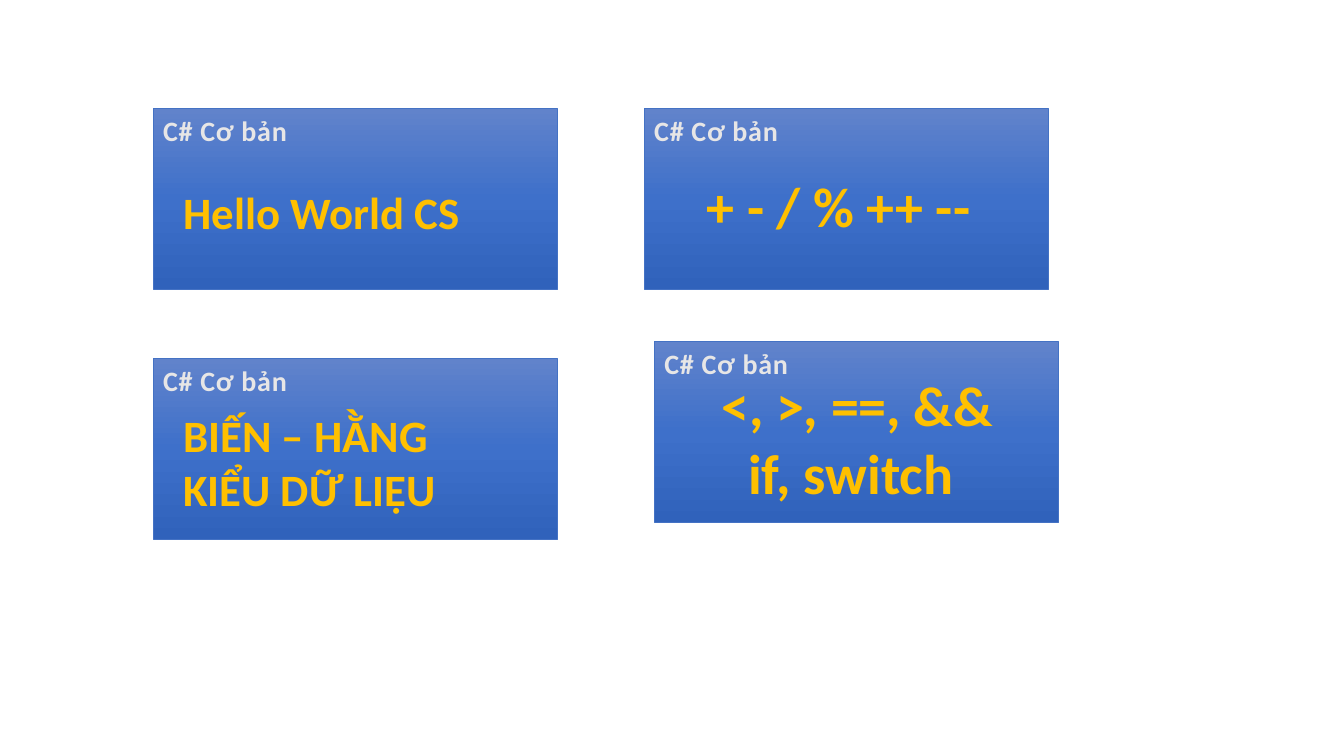
"""Builds a slide of four C# lesson cards."""
from copy import deepcopy

from pptx import Presentation
from pptx.dml.color import RGBColor
from pptx.enum.shapes import MSO_SHAPE
from pptx.enum.text import MSO_AUTO_SIZE, PP_ALIGN
from pptx.oxml.ns import qn
from pptx.util import Inches, Pt

RECT = MSO_SHAPE.RECTANGLE
GROW = MSO_AUTO_SIZE.SHAPE_TO_FIT_TEXT
LEFT, CENTER = PP_ALIGN.LEFT, PP_ALIGN.CENTER

SHADES = [(0, "6183CB"), (0.5, "3E70CA"), (1, "3062BB")]
EDGE, PALE, GOLD = "4472C4", "E7E6E6", "FFC000"
CARD = (4.01, 1.79)
LABEL = (1.45, 0.44)


def color(code):
    return RGBColor.from_string(code)


class Deck:
    def __init__(self, slide):
        self.shapes = slide.shapes
        self.font = "Calibri"

    def panel(self, left, top):
        box = self.shapes.add_shape(RECT, *map(Inches, (left, top, *CARD)))
        box.shadow.inherit = False
        box.fill.gradient()
        box.fill.gradient_angle = 270
        stops = box._element.spPr.find(".//" + qn("a:gsLst"))
        stops.append(deepcopy(stops[0]))
        for stop, (place, shade) in zip(box.fill.gradient_stops, SHADES):
            stop.position = place
            stop.color.rgb = color(shade)
        box.line.color.rgb = color(EDGE)
        box.line.width = Pt(0.5)

    def text(self, area, lines, size, tint, align=LEFT, gap=0):
        frame = self.shapes.add_textbox(*map(Inches, area)).text_frame
        frame.word_wrap = False
        frame.auto_size = GROW
        style = {"name": self.font, "size": Pt(size), "bold": True}
        for index, line in enumerate(lines):
            para = frame.add_paragraph() if index else frame.paragraphs[0]
            para.alignment = align
            run = para.add_run()
            run.text = line
            for key, value in style.items():
                setattr(run.font, key, value)
            run.font.color.rgb = color(tint)
            if gap:
                run._r.get_or_add_rPr().set("spc", str(gap))

    def card(self, left, top, area, lines, size, align=LEFT):
        self.panel(left, top)
        self.text((left, top, *LABEL), ["C# Cơ bản"], 20, PALE, gap=50)
        self.text(area, lines, size, GOLD, align)


def main():
    prs = Presentation()
    prs.slide_width, prs.slide_height = Inches(13.33), Inches(7.5)
    deck = Deck(prs.slides.add_slide(prs.slide_layouts[6]))
    deck.card(1.52, 1.08, (1.72, 1.78, 2.97, 0.64), ["Hello World CS"], 32)
    deck.card(1.52, 3.56, (1.72, 4, 2.76, 1.18),
              ["BIẾN – HẰNG", "KIỂU DỮ LIỆU"], 32)
    deck.card(6.39, 1.08, (6.91, 1.65, 2.97, 0.77), ["+ - / % ++ --"], 40)
    deck.card(6.49, 3.39, (7.04, 3.63, 2.92, 1.45),
              ["<, >, ==, &&", "if, switch "], 40, CENTER)
    prs.save("out.pptx")


if __name__ == "__main__":
    main()
